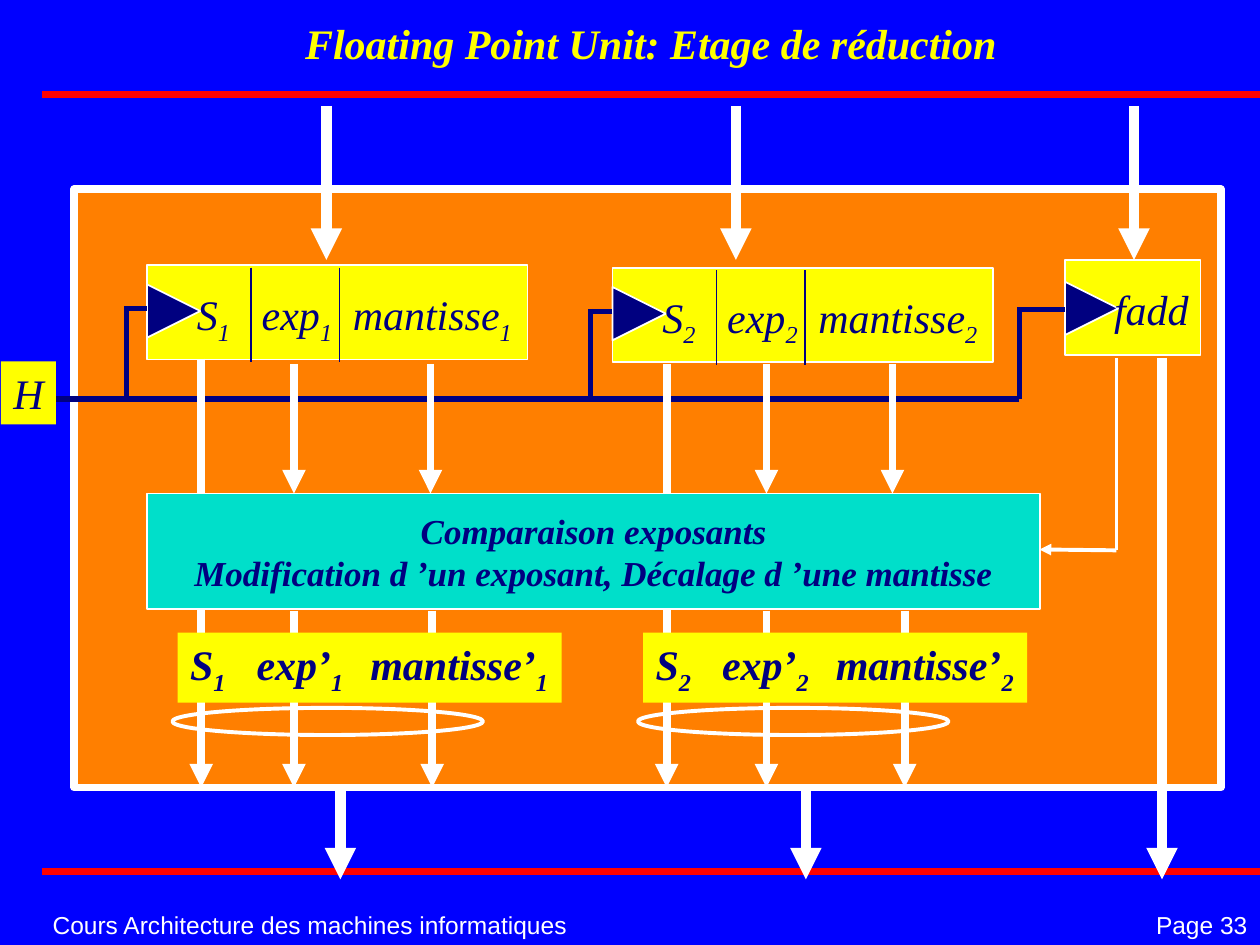
from lxml import etree
from pptx import Presentation
from pptx import util as u
from pptx.dml.color import RGBColor
from pptx.enum import shapes, text
from pptx.oxml import ns

Pt = u.Pt
HUES = {"back": "0000FF", "rule": "FF0100", "white": "FFFFFF", "title": "FFFF00",
        "frame": "FF7F00", "cell": "FFFF00", "ink": "000080", "stage": "00DFCA"}
KIND = shapes.MSO_SHAPE
SIDE = text.PP_ALIGN
HOLD = text.MSO_ANCHOR


class Board:
    serif = "Times New Roman"
    sans = "Arial"

    def __init__(self, slide):
        self.slide = slide
        slide.background.fill.solid()
        slide.background.fill.fore_color.rgb = self.hue("back")

    def hue(self, name):
        return RGBColor.from_string(HUES[name])

    def style(self, shape, size, face, ink, bold=False, slant=False,
              side=SIDE.LEFT, hold=HOLD.TOP, wrap=True):
        frame = shape.text_frame
        frame.word_wrap = wrap
        frame.auto_size = text.MSO_AUTO_SIZE.NONE
        frame.vertical_anchor = hold
        for para in frame.paragraphs:
            para.alignment = side
            for run in para.runs:
                font = run.font
                font.size, font.name = Pt(size), face
                font.bold, font.italic = bold, slant
                font.color.rgb = self.hue(ink)

    def title(self, words, x, y, w, h):
        shape = self.slide.shapes.title
        shape.left, shape.top, shape.width, shape.height = map(Pt, (x, y, w, h))
        shape.text_frame.text = words
        self.style(shape, 24, self.serif, "title", True, True, SIDE.CENTER, HOLD.BOTTOM)

    def shape(self, kind, x, y, w, h, fill=None, edge=0, turn=0):
        shape = self.slide.shapes.add_shape(kind, Pt(x), Pt(y), Pt(w), Pt(h))
        shape.shadow.inherit = False
        shape.rotation = turn
        if fill:
            shape.fill.solid()
            shape.fill.fore_color.rgb = self.hue(fill)
        else:
            shape.fill.background()
        if edge:
            shape.line.color.rgb = self.hue("white")
            shape.line.width = Pt(edge)
        else:
            shape.line.fill.background()
        return shape

    def box(self, x, y, w, h):
        return self.slide.shapes.add_textbox(Pt(x), Pt(y), Pt(w), Pt(h))

    def line(self, x1, y1, x2, y2, hue="white", width=4.5, arrow=False):
        line = self.slide.shapes.add_connector(
            shapes.MSO_CONNECTOR.STRAIGHT, Pt(x1), Pt(y1), Pt(x2), Pt(y2))
        line.line.color.rgb = self.hue(hue)
        line.line.width = Pt(width)
        props = line._element.spPr
        if arrow:
            tip = etree.SubElement(props.find(ns.qn("a:ln")), ns.qn("a:tailEnd"))
            tip.set("type", "triangle")
        etree.SubElement(props, ns.qn("a:effectLst"))

    def label(self, shape, words, bold=False):
        shape.text_frame.text = words
        self.style(shape, 24, self.serif, "ink", bold, True)
        shape.text_frame.margin_right = 0

    def fields(self, shape, names, index, stops, bold=False):
        para = shape.text_frame.paragraphs[0]
        subs = []
        for i, name in enumerate(names):
            para.add_run().text = "\t" * (i > 0) + name
            sub = para.add_run()
            sub.text = str(index)
            subs.append(sub)
        self.style(shape, 24, self.serif, "ink", bold, True)
        shape.text_frame.margin_right = 0
        for sub in subs:
            sub.font._element.set("baseline", "-25000")
        tabs = etree.SubElement(para._p.get_or_add_pPr(), ns.qn("a:tabLst"))
        for stop in stops:
            etree.SubElement(tabs, ns.qn("a:tab"), pos=str(Pt(stop)), algn="l")

    def clock(self, x, y):
        self.shape(KIND.ISOSCELES_TRIANGLE, x, y, 30.5, 30.5, "ink", 1, 90)

    def register(self, x, y, index):
        self.shape(KIND.RECTANGLE, x, y, 217.5, 54, "cell", 1)
        self.clock(x, y + 11)
        for gap in (59.5, 110):
            self.line(x + gap, y + 1.5, x + gap, y + 55.5, "ink", 1)
        self.fields(self.box(x + 21.5, y + 10, 194.5, 40),
                    ("S", "exp", "mantisse"), index, (37, 89))


deck = Presentation()
deck.slide_width, deck.slide_height = Pt(720), Pt(540)
board = Board(deck.slides.add_slide(deck.slide_layouts[5]))
board.title("Floating Point Unit: Etage de réduction", 68.5, 12, 607, 30.5)

for y in (54, 498):
    board.line(24, y, 720, y, "rule", 4)
for words, x, w, side in (("Cours Architecture des machines informatiques", 23, 330, SIDE.LEFT),
                          ("Page 33", 612, 108, SIDE.RIGHT)):
    foot = board.box(x, 516.5, w, 24)
    foot.text_frame.text = words
    board.style(foot, 14, board.sans, "white", side=side, hold=HOLD.MIDDLE)

board.shape(KIND.RECTANGLE, 42.5, 108, 655, 342, "frame", 4.5)
for x in (186.5, 420.5, 648):
    board.line(x, 60.5, x, 148.5, width=6, arrow=True)

board.shape(KIND.RECTANGLE, 608.5, 148.5, 77.5, 54.5, "cell", 1)
board.clock(608.5, 161)
board.label(board.box(629.5, 158.5, 57, 36), "fadd")
board.register(84, 151.5, 1)
board.register(350, 153, 2)

for x, y, end in ((72.5, 176.5, 84), (337.5, 178, 350), (582.5, 177, 608.5)):
    board.line(end, y, x, y, "ink", 3)
    board.line(x, y - 1.5, x, 228, "ink", 3)
board.line(582.5, 228, 19, 228, "ink", 3)
board.label(board.shape(KIND.RECTANGLE, 0.5, 206.5, 31.5, 36, "cell"), "H")

for x, top in ((115, 205), (381, 208)):
    board.line(x, top, x, 450, arrow=True)
for x in (168, 246, 438, 510):
    board.line(x, 208, x, 282, arrow=True)
for x in (168, 247, 438, 517):
    board.line(x, 349, x, 450, arrow=True)
for x, top in ((194.5, 450), (460.5, 450), (664, 204.5)):
    board.line(x, top, x, 502.5, width=6, arrow=True)

for x, index in ((101.5, 1), (367.5, 2)):
    result = board.shape(KIND.RECTANGLE, x, 361.5, 219.5, 40, "cell")
    board.fields(result, ("S", "exp’", "mantisse’"), index, (38, 103), True)
    board.shape(KIND.OVAL, x - 3, 404.5, 177.5, 15.5, edge=2.25)

board.line(638, 204.5, 638, 314.5, width=2.25)
board.line(638, 314.5, 594, 314, width=2.25, arrow=True)
stage = board.shape(KIND.RECTANGLE, 84, 282, 510.5, 66, "stage", 1)
stage.text_frame.text = ("Comparaison exposants\n"
                         "Modification d\u00a0’un exposant, Décalage d\u00a0’une mantisse")
board.style(stage, 20, board.serif, "ink", True, True, SIDE.CENTER, HOLD.MIDDLE, False)

deck.save("out.pptx")
